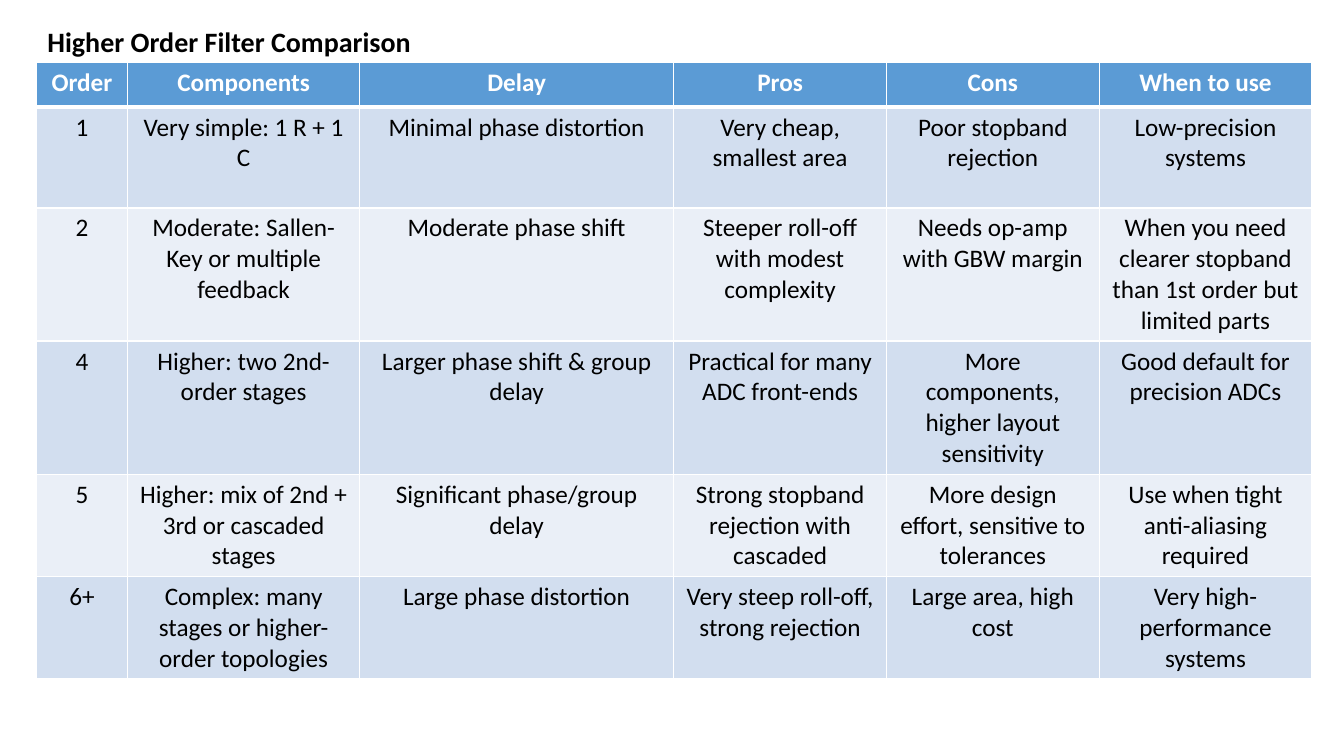
from dataclasses import dataclass

from lxml.etree import SubElement
from pptx import Presentation
from pptx.dml.color import RGBColor
from pptx.enum.text import MSO_ANCHOR, MSO_AUTO_SIZE, PP_ALIGN
from pptx.oxml.ns import qn
from pptx.util import Cm, Pt

TITLE = "Higher Order Filter Comparison"
HEADS = ["Order", "Components", "Delay", "Pros", "Cons", "When to use"]
FILTERS = [
    ["1", "Very simple: 1 R + 1 C", "Minimal phase distortion",
     "Very cheap, smallest area", "Poor stopband rejection",
     "Low-precision systems"],
    ["2", "Moderate: Sallen-Key or multiple feedback", "Moderate phase shift",
     "Steeper roll-off with modest complexity", "Needs op-amp with GBW margin",
     "When you need clearer stopband than 1st order but limited parts"],
    ["4", "Higher: two 2nd-order stages", "Larger phase shift & group delay",
     "Practical for many ADC front-ends",
     "More components, higher layout sensitivity",
     "Good default for precision ADCs"],
    ["5", "Higher: mix of 2nd + 3rd or cascaded stages",
     "Significant phase/group delay",
     "Strong stopband rejection with cascaded",
     "More design effort, sensitive to tolerances",
     "Use when tight anti-aliasing required"],
    ["6+", "Complex: many stages or higher-order topologies",
     "Large phase distortion", "Very steep roll-off, strong rejection",
     "Large area, high cost", "Very high-performance systems"],
]
WIDTHS = [2.31, 5.84, 7.92, 5.36, 5.36, 5.36]
LEFT, TOP = 0.91, 1.58
HEAD, ROW = 1.12, 2.54


@dataclass(frozen=True)
class Theme:
    font: str = "Calibri"
    ink: str = "000000"
    white: str = "FFFFFF"
    head: str = "5B9BD5"
    bands: tuple = ("D2DEEF", "EAEFF7")
    title: int = 20
    body: int = 18
    thin: int = 1
    thick: int = 3


THEME = Theme()


def write(frame, text, size=THEME.body, color=THEME.ink, bold=False,
          align=PP_ALIGN.CENTER, anchor=MSO_ANCHOR.MIDDLE, line=1.0):
    frame.word_wrap = True
    frame.vertical_anchor = anchor
    para = frame.paragraphs[0]
    para.text = text
    para.alignment = align
    para.line_spacing = line
    font = para.runs[0].font
    font.name, font.size, font.bold = THEME.font, Pt(size), bold
    font.color.rgb = RGBColor.from_string(color)


def edge(cell, row):
    props = cell._tc.get_or_add_tcPr()
    top = THEME.thick if row == 1 else THEME.thin
    base = THEME.thick if row == 0 else THEME.thin
    sides = {"L": THEME.thin, "R": THEME.thin, "T": top, "B": base}
    for side, width in sides.items():
        line = SubElement(props, qn(f"a:ln{side}"), w=str(Pt(width)))
        fill = SubElement(line, qn("a:solidFill"))
        SubElement(fill, qn("a:srgbClr"), val=THEME.white)


def paint(cell, row, text):
    if row == 0:
        fill = THEME.head
        write(cell.text_frame, text, color=THEME.white, bold=True,
              anchor=MSO_ANCHOR.TOP)
    else:
        fill = THEME.bands[(row - 1) % 2]
        write(cell.text_frame, text)
    edge(cell, row)
    cell.fill.solid()
    cell.fill.fore_color.rgb = RGBColor.from_string(fill)


def main():
    deck = Presentation()
    deck.slide_width, deck.slide_height = Cm(33.87), Cm(19.05)
    slide = deck.slides.add_slide(deck.slide_layouts[5])

    title = slide.shapes.title
    title.left, title.top = Cm(0.94), Cm(0.58)
    title.width, title.height = Cm(sum(WIDTHS)), Cm(1)
    write(title.text_frame, TITLE, size=THEME.title, bold=True,
          align=PP_ALIGN.LEFT, anchor=MSO_ANCHOR.TOP, line=0.9)
    title.text_frame.auto_size = MSO_AUTO_SIZE.NONE

    rows = [HEADS] + FILTERS
    high = HEAD + ROW * len(FILTERS)
    table = slide.shapes.add_table(
        len(rows), len(HEADS), Cm(LEFT), Cm(TOP),
        Cm(sum(WIDTHS)), Cm(high)).table
    for col, width in zip(table.columns, WIDTHS):
        col.width = Cm(width)
    for row, texts in enumerate(rows):
        table.rows[row].height = Cm(ROW if row else HEAD)
        for col, text in enumerate(texts):
            paint(table.cell(row, col), row, text)

    deck.save("out.pptx")


if __name__ == "__main__":
    main()
